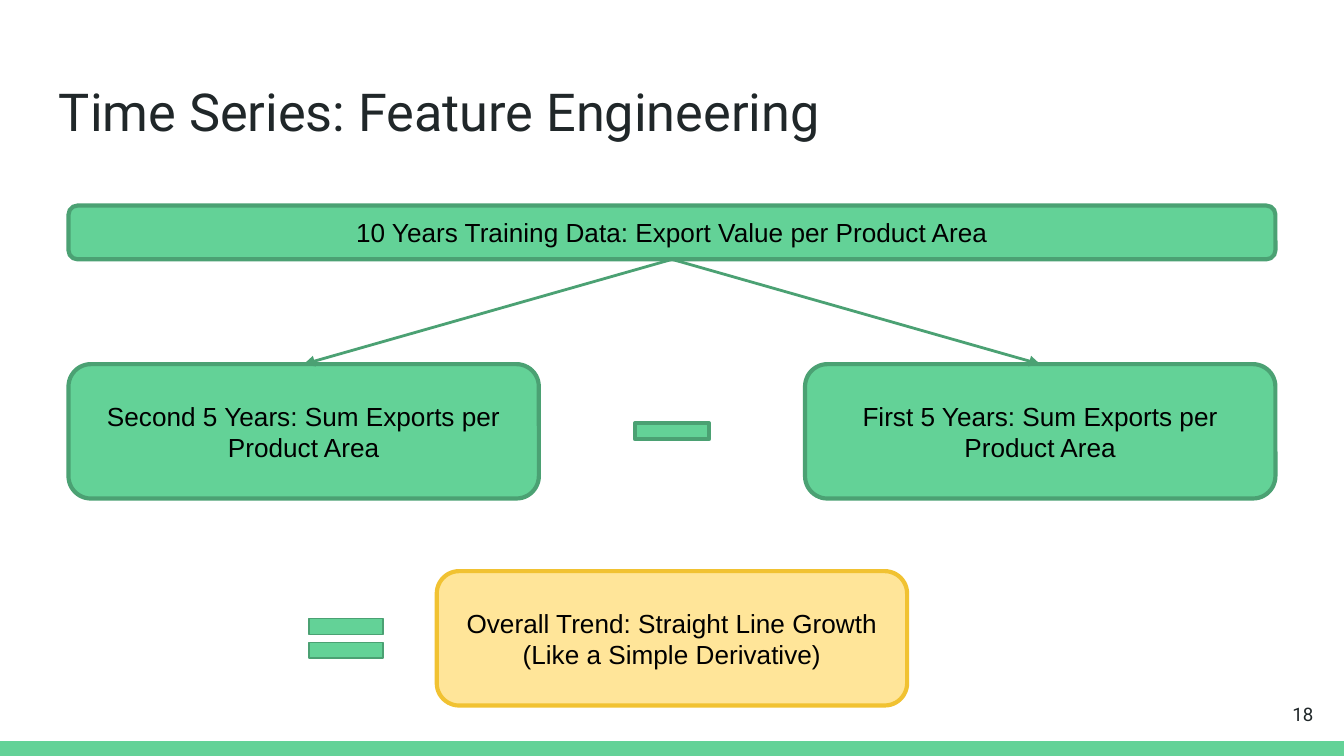
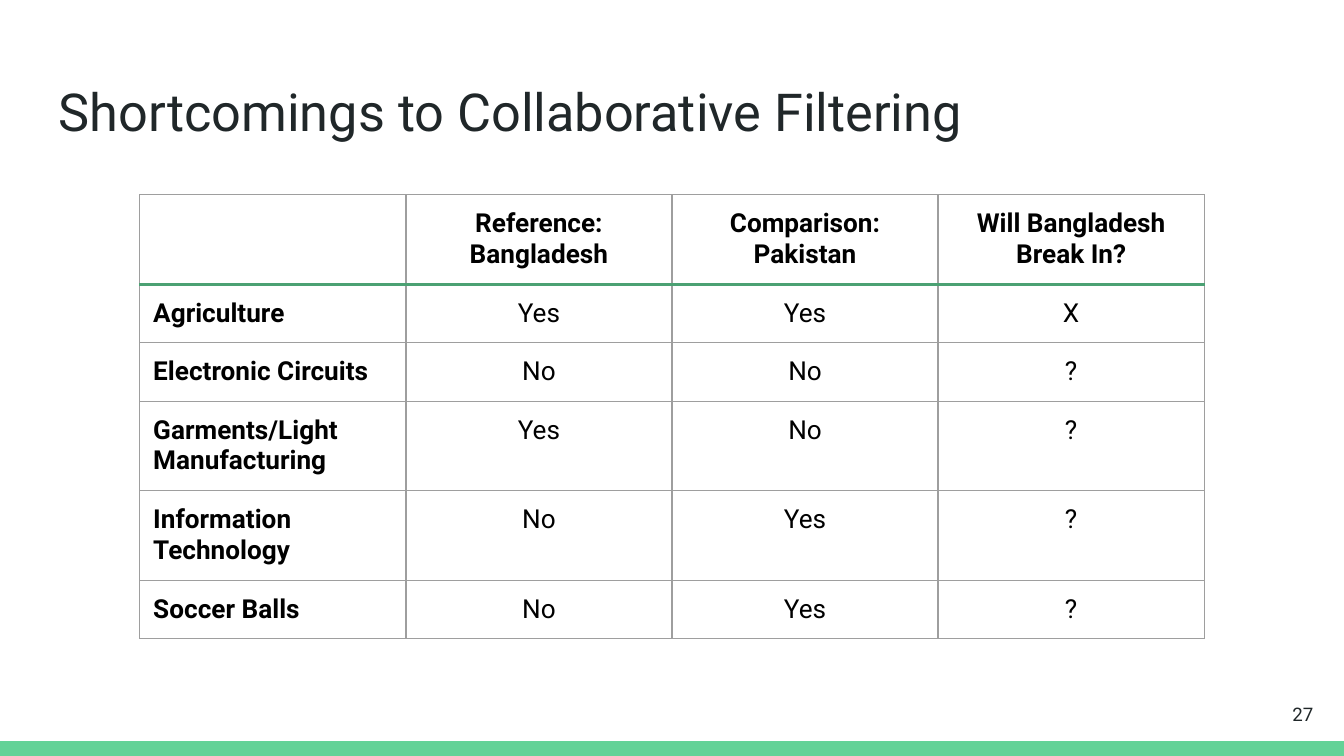
from dataclasses import dataclass

from lxml import etree
from pptx import Presentation
from pptx.dml.color import RGBColor
from pptx.enum.shapes import MSO_CONNECTOR, MSO_SHAPE
from pptx.enum.text import MSO_ANCHOR, PP_ALIGN
from pptx.oxml.ns import qn
from pptx.util import Inches, Pt

RECT, ROUNDED = MSO_SHAPE.RECTANGLE, MSO_SHAPE.ROUNDED_RECTANGLE
PROCESS = MSO_SHAPE.FLOWCHART_ALTERNATE_PROCESS
MINUS, EQUAL = MSO_SHAPE.MATH_MINUS, MSO_SHAPE.MATH_EQUAL
STRAIGHT = MSO_CONNECTOR.STRAIGHT
LEFT, CENTER, RIGHT = PP_ALIGN.LEFT, PP_ALIGN.CENTER, PP_ALIGN.RIGHT
TOP, MIDDLE = MSO_ANCHOR.TOP, MSO_ANCHOR.MIDDLE
BOTTOM_SITE, TOP_SITE = 2, 0


@dataclass(frozen=True)
class Theme:
    green: str = "63D297"
    dark_green: str = "4BA173"
    cream: str = "FFE599"
    gold: str = "F1C232"
    ink: str = "202729"
    black: str = "000000"
    grid: str = "9E9E9E"
    heading_font: str = "Roboto"
    body_font: str = "Arial"
    title_size: float = 28
    body_size: float = 14
    number_size: float = 10
    outline: float = 2.25
    arrow: float = 1.5
    thin: float = 0.75
    inset: float = 0.1


@dataclass(frozen=True)
class Box:
    x: float
    y: float
    w: float
    h: float

    def inner(self, x, y, w, h):
        return Box(self.x + x, self.y + y, w, h)

    def emu(self):
        return [Inches(v) for v in (self.x, self.y, self.w, self.h)]


T = Theme()
PAGE = Box(0, 0, 10, 10 * 9 / 16)
CONTENT = Box(0.51, 1.53, 8.98, 3.72)
TABLE = Box(1.04, 1.45, 7.92, 2.52)
BAND_H = 0.11
CARD_W, CARD_H = 3.5, 1
SIGN_W, SIGN_H = 0.75, 0.5

AREAS = [
    ["", "Reference: Bangladesh", "Comparison: Pakistan", "Will Bangladesh Break In?"],
    ["Agriculture", "Yes", "Yes", "X"],
    ["Electronic Circuits", "No", "No", "?"],
    ["Garments/Light Manufacturing", "Yes", "No", "?"],
    ["Information Technology", "No", "Yes", "?"],
    ["Soccer Balls", "No", "Yes", "?"],
]


def rgb(color):
    return RGBColor.from_string(color)


def write(tf, text, size, font, color, align=LEFT, bold=False):
    tf.text = text
    p = tf.paragraphs[0]
    p.alignment = align
    for r in p.runs:
        r.font.size, r.font.name, r.font.bold = Pt(size), font, bold
        r.font.color.rgb = rgb(color)


def set_insets(target):
    target.margin_left = target.margin_right = Inches(T.inset)
    target.margin_top = target.margin_bottom = Inches(T.inset)


def add_text(slide, box, text, size, align=LEFT, anchor=TOP):
    tf = slide.shapes.add_textbox(*box.emu()).text_frame
    tf.word_wrap = True
    tf.vertical_anchor = anchor
    set_insets(tf)
    write(tf, text, size, T.heading_font, T.ink, align)


def add_shape(slide, kind, box, fill=T.green, line=T.dark_green, width=T.outline):
    sp = slide.shapes.add_shape(kind, *box.emu())
    sp.shadow.inherit = False
    sp.fill.solid()
    sp.fill.fore_color.rgb = rgb(fill)
    if line:
        sp.line.color.rgb = rgb(line)
        sp.line.width = Pt(width)
    else:
        sp.line.fill.background()
    return sp


def add_card(slide, kind, box, text, fill=T.green, line=T.dark_green):
    sp = add_shape(slide, kind, box, fill, line)
    tf = sp.text_frame
    tf.word_wrap = True
    tf.vertical_anchor = MIDDLE
    set_insets(tf)
    write(tf, text, T.body_size, T.body_font, T.black, CENTER)
    return sp


def add_arrow(slide, source, target):
    line = slide.shapes.add_connector(STRAIGHT, 0, 0, 0, 0)
    line.begin_connect(source, BOTTOM_SITE)
    line.end_connect(target, TOP_SITE)
    line.line.color.rgb = rgb(T.dark_green)
    line.line.width = Pt(T.arrow)
    ln = line._element.spPr.find(qn("a:ln"))
    etree.SubElement(ln, qn("a:tailEnd"), type="triangle")
    etree.SubElement(line._element.spPr, qn("a:effectLst"))


def set_borders(cell, borders):
    tcPr = cell._tc.get_or_add_tcPr()
    for i, (side, (color, width)) in enumerate(borders.items()):
        ln = etree.Element(qn(f"a:ln{side}"), w=str(Pt(width)))
        fill = etree.SubElement(ln, qn("a:solidFill"))
        etree.SubElement(fill, qn("a:srgbClr"), val=color)
        tcPr.insert(i, ln)


def add_frame(prs, box, title, number):
    slide = prs.slides.add_slide(prs.slide_layouts[6])
    add_shape(slide, RECT, box.inner(0, box.h - BAND_H, box.w, BAND_H), line=None)
    add_text(slide, box.inner(0.34, 0.49, 9.32, 0.63), title, T.title_size)
    add_text(slide, box.inner(9.27, 5.1, 0.6, 0.43), str(number),
             T.number_size, RIGHT, MIDDLE)
    return slide


def add_trend_flow(slide, box):
    card_x = (box.w - CARD_W) / 2
    halves_y, trend_y = 1.18, box.h - CARD_H
    sign_drop = (CARD_H - SIGN_H) / 2

    bar = add_card(slide, PROCESS, box.inner(0, 0, box.w, 0.4),
                   "10 Years Training Data: Export Value per Product Area")
    halves = [(box.w - CARD_W, "First 5 Years: Sum Exports per Product Area"),
              (0, "Second 5 Years: Sum Exports per Product Area")]
    for x, text in halves:
        card = add_card(slide, ROUNDED, box.inner(x, halves_y, CARD_W, CARD_H), text)
        add_arrow(slide, bar, card)
    add_card(slide, PROCESS, box.inner(card_x, trend_y, CARD_W, CARD_H),
             "Overall Trend: Straight Line Growth (Like a Simple Derivative)",
             T.cream, T.gold)

    signs = [(MINUS, (box.w - SIGN_W) / 2, halves_y, T.outline),
             (EQUAL, card_x - 0.3 - SIGN_W, trend_y, T.thin)]
    for kind, x, y, width in signs:
        add_shape(slide, kind, box.inner(x, y + sign_drop, SIGN_W, SIGN_H), width=width)


def add_area_table(slide, box, rows):
    table = slide.shapes.add_table(len(rows), len(rows[0]), *box.emu()).table
    table.first_row = table.horz_banding = False
    for col in table.columns:
        col.width = Inches(box.w / len(rows[0]))
    grid, rule = (T.grid, T.thin), (T.dark_green, T.outline)
    for i, values in enumerate(rows):
        table.rows[i].height = Inches(box.h / len(rows))
        borders = {"L": grid, "R": grid,
                   "T": rule if i == 1 else grid,
                   "B": rule if i == 0 else grid}
        for j, text in enumerate(values):
            cell = table.cell(i, j)
            set_insets(cell)
            cell.fill.background()
            set_borders(cell, borders)
            write(cell.text_frame, text, T.body_size, T.heading_font, T.black,
                  CENTER if j else LEFT, bold=i == 0 or j == 0)


def main():
    prs = Presentation()
    prs.slide_width, prs.slide_height = Inches(PAGE.w), Inches(PAGE.h)
    slide = add_frame(prs, PAGE, "Time Series: Feature Engineering", 18)
    add_trend_flow(slide, CONTENT)
    slide = add_frame(prs, PAGE, "Shortcomings to Collaborative Filtering", 27)
    add_area_table(slide, TABLE, AREAS)
    prs.save("out.pptx")


if __name__ == "__main__":
    main()
